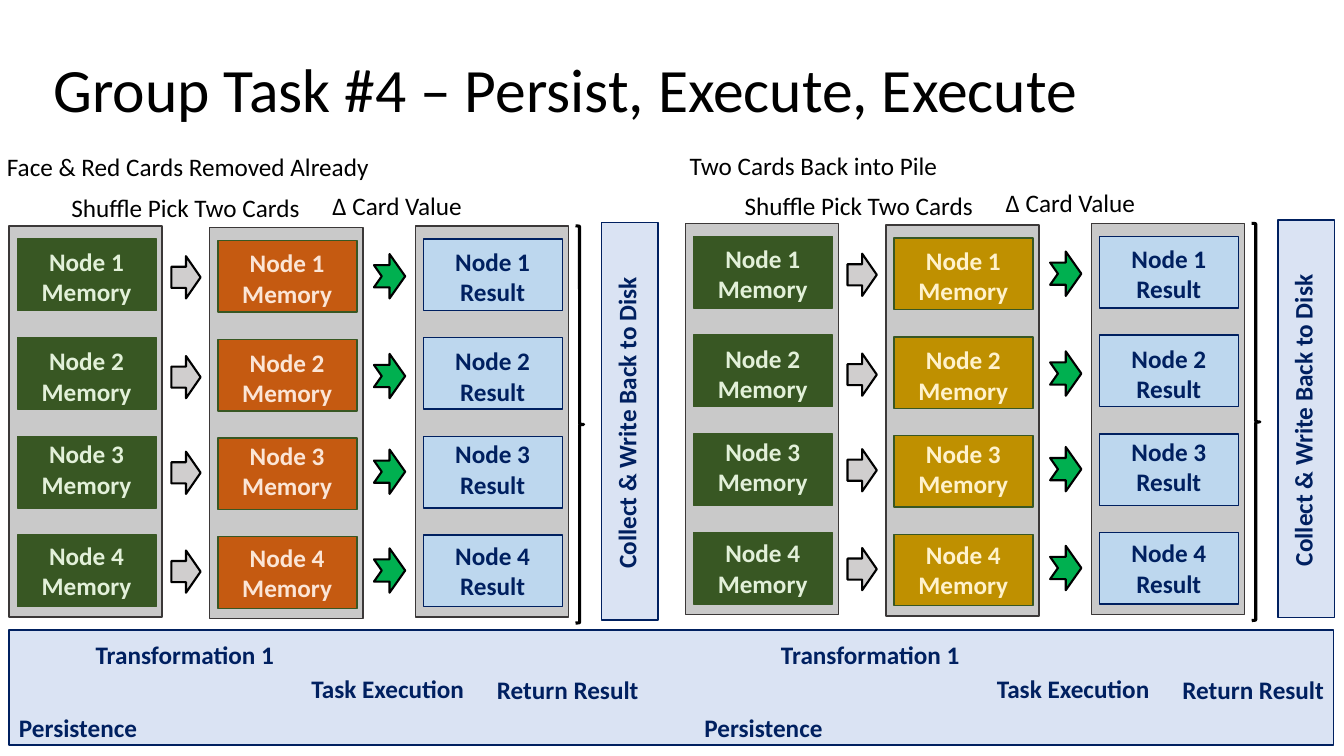
from dataclasses import dataclass

from pptx import Presentation
from pptx.dml.color import RGBColor
from pptx.enum.shapes import MSO_SHAPE
from pptx.enum.text import MSO_ANCHOR, MSO_AUTO_SIZE, PP_ALIGN
from pptx.shapes.autoshape import Shape
from pptx.slide import Slide
from pptx.util import Pt

BLACK = RGBColor(0x00, 0x00, 0x00)
NAVY = RGBColor(0x00, 0x20, 0x60)
PALE = RGBColor(0xDA, 0xE3, 0xF3)
SKY = RGBColor(0xBD, 0xD7, 0xEE)
GREY = RGBColor(0xC9, 0xC9, 0xC9)
SLATE = RGBColor(0x3B, 0x38, 0x38)
SILVER = RGBColor(0xD0, 0xCE, 0xCE)
FOREST = RGBColor(0x38, 0x57, 0x23)
MINT = RGBColor(0xE2, 0xF0, 0xD9)
RUST = RGBColor(0xC5, 0x5A, 0x11)
PEACH = RGBColor(0xFB, 0xE5, 0xD6)
GOLD = RGBColor(0xBF, 0x90, 0x00)
CREAM = RGBColor(0xFF, 0xF2, 0xCC)
GREEN = RGBColor(0x00, 0xB0, 0x50)

PLAIN = {"name": "Calibri", "size": Pt(18), "bold": False}
STRONG = {**PLAIN, "bold": True}
LEFT, MID = PP_ALIGN.LEFT, PP_ALIGN.CENTER

TOP = 161.3  # top of the left half's panels
PITCH = 70.5  # step from one node box to the next
TEXT_TOPS = (10.8, 82, 148.5, 221)
ARROW_TOPS = (20.2, 91.5, 159.8, 230.4)


@dataclass(frozen=True)
class Box:
    x: float
    y: float
    w: float
    h: float


@dataclass(frozen=True)
class Panel:
    x: float
    drop: float
    word: str
    fill: RGBColor
    line: RGBColor
    ink: RGBColor


@dataclass(frozen=True)
class Arrow:
    kind: MSO_SHAPE
    box: Box  # y is the drop below the row's arrow top
    fill: RGBColor


@dataclass(frozen=True)
class Label:
    text: str
    x: float
    y: float
    w: float
    align: PP_ALIGN = LEFT


@dataclass(frozen=True)
class Half:
    dx: float
    dy: float
    foot: float  # shift of the footer labels
    fill: RGBColor
    ink: RGBColor
    heads: tuple[Label, ...]


ARROWS = (
    Arrow(MSO_SHAPE.RIGHT_ARROW, Box(122.4, 1.5, 20.9, 30.2), SILVER),
    Arrow(MSO_SHAPE.NOTCHED_RIGHT_ARROW, Box(267.1, 0, 22.3, 31.7), GREEN),
)
FOOTERS = (
    Label("Transformation 1", 61.2, 452.9, 144),
    Label("Task Execution", 215.3, 477.4, 123.8),
    Label("Return Result", 347.8, 478.1, 123.8),
    Label("Persistence", 6.5, 505.4, 103.7),
)
HALVES = (
    Half(0, 0, 0, RUST, PEACH, (
        Label("Face & Red Cards Removed Already", -2.2, 104.4, 275),
        Label("Shuffle Pick Two Cards", 41.8, 133.9, 181.4, MID),
        Label("Δ Card Value", 229.7, 132.5, 108, MID),
    )),
    Half(483, -1.8, 489.6, GOLD, CREAM, (
        Label("Two Cards Back into Pile", 478.8, 103.7, 204.5, MID),
        Label("Shuffle Pick Two Cards", 522.7, 132.5, 181.4, MID),
        Label("Δ Card Value", 710.6, 130.3, 108, MID),
    )),
)


def style(font, values: dict, ink: RGBColor) -> None:
    for key, value in values.items():
        setattr(font, key, value)
    font.color.rgb = ink


def draw(slide: Slide, kind: MSO_SHAPE, box: Box, fill: RGBColor | None,
         line: RGBColor, width: float = 1) -> Shape:
    shape = slide.shapes.add_shape(kind, Pt(box.x), Pt(box.y), Pt(box.w), Pt(box.h))
    shape.shadow.inherit = False
    if fill is None:
        shape.fill.background()
    else:
        shape.fill.solid()
        shape.fill.fore_color.rgb = fill
    shape.line.color.rgb = line
    shape.line.width = Pt(width)
    return shape


def write(slide: Slide, lines: tuple[str, ...], box: Box, ink: RGBColor,
          values: dict = STRONG, align: PP_ALIGN = MID) -> Shape:
    shape = slide.shapes.add_textbox(Pt(box.x), Pt(box.y), Pt(box.w), Pt(box.h))
    frame = shape.text_frame
    frame.word_wrap = True
    frame.auto_size = MSO_AUTO_SIZE.SHAPE_TO_FIT_TEXT
    frame.text = "\n".join(lines)
    for para in frame.paragraphs:
        para.alignment = align
        style(para.font, values, ink)
    return shape


def add_panel(slide: Slide, panel: Panel, half: Half) -> None:
    x, y = panel.x + half.dx, TOP + panel.drop + half.dy
    draw(slide, MSO_SHAPE.RECTANGLE, Box(x, y, 109.4, 279.4), GREY, SLATE)
    for row, top in enumerate(TEXT_TOPS):
        node = Box(x + 5.8, y + 9.4 + row * PITCH, 99.4, 51.1)
        draw(slide, MSO_SHAPE.RECTANGLE, node, panel.fill, panel.line)
        write(slide, (f"Node {row + 1}", panel.word),
              Box(x + 11, y + top, 88.6, 51.1), panel.ink)


def add_half(slide: Slide, half: Half) -> None:
    # Node panels
    for panel in (
        Panel(6.5, 0, "Memory", FOREST, FOREST, MINT),
        Panel(149.8, 1.2, "Memory", half.fill, FOREST, half.ink),
        Panel(296.6, 0, "Result", SKY, NAVY, NAVY),
    ):
        add_panel(slide, panel, half)

    # Arrows between panels
    for arrow in ARROWS:
        for top in ARROW_TOPS:
            box = arrow.box
            spot = Box(box.x + half.dx, TOP + half.dy + top + box.y, box.w, box.h)
            draw(slide, arrow.kind, spot, arrow.fill, BLACK, 1.5)

    # Brace and collecting bar
    brace = draw(slide, MSO_SHAPE.LEFT_BRACE,
                 Box(411.1 + half.dx, 161.3 + half.dy, 5.8, 283.7), None, BLACK, 2.25)
    brace.rotation = 180
    draw(slide, MSO_SHAPE.RECTANGLE,
         Box(429.8 + half.dx, 159.1 + half.dy, 40.3, 283.7), PALE, NAVY)
    note = write(slide, ("Collect & Write Back to Disk",),
                 Box(310.3 + half.dx, 293.8 + half.dy, 262.1, 16.6), NAVY)
    note.rotation = 270

    # Headings and footer labels
    for head in half.heads:
        write(slide, (head.text,), Box(head.x, head.y, head.w, 29.1),
              BLACK, PLAIN, head.align)
    for foot in FOOTERS:
        write(slide, (foot.text,), Box(foot.x + half.foot, foot.y, foot.w, 29.1),
              NAVY, STRONG, foot.align)


def main() -> None:
    deck = Presentation()
    deck.slide_width, deck.slide_height = Pt(960), Pt(540)
    slide = deck.slides.add_slide(deck.slide_layouts[5])

    # Title
    title = slide.shapes.title
    spot = {"left": Pt(31), "top": Pt(13.7), "width": Pt(828), "height": Pt(104.4)}
    for key, value in spot.items():
        setattr(title, key, value)
    frame = title.text_frame
    frame.text = "Group Task #4 – Persist, Execute, Execute"
    frame.vertical_anchor = MSO_ANCHOR.MIDDLE
    frame.auto_size = MSO_AUTO_SIZE.NONE
    para = frame.paragraphs[0]
    para.alignment = LEFT
    para.line_spacing = 0.9
    style(para.font, {**PLAIN, "size": Pt(44)}, BLACK)

    # Footer band and both halves
    draw(slide, MSO_SHAPE.RECTANGLE, Box(6.5, 450, 946.1, 82.1), PALE, NAVY)
    for half in HALVES:
        add_half(slide, half)
    deck.save("out.pptx")


if __name__ == "__main__":
    main()
